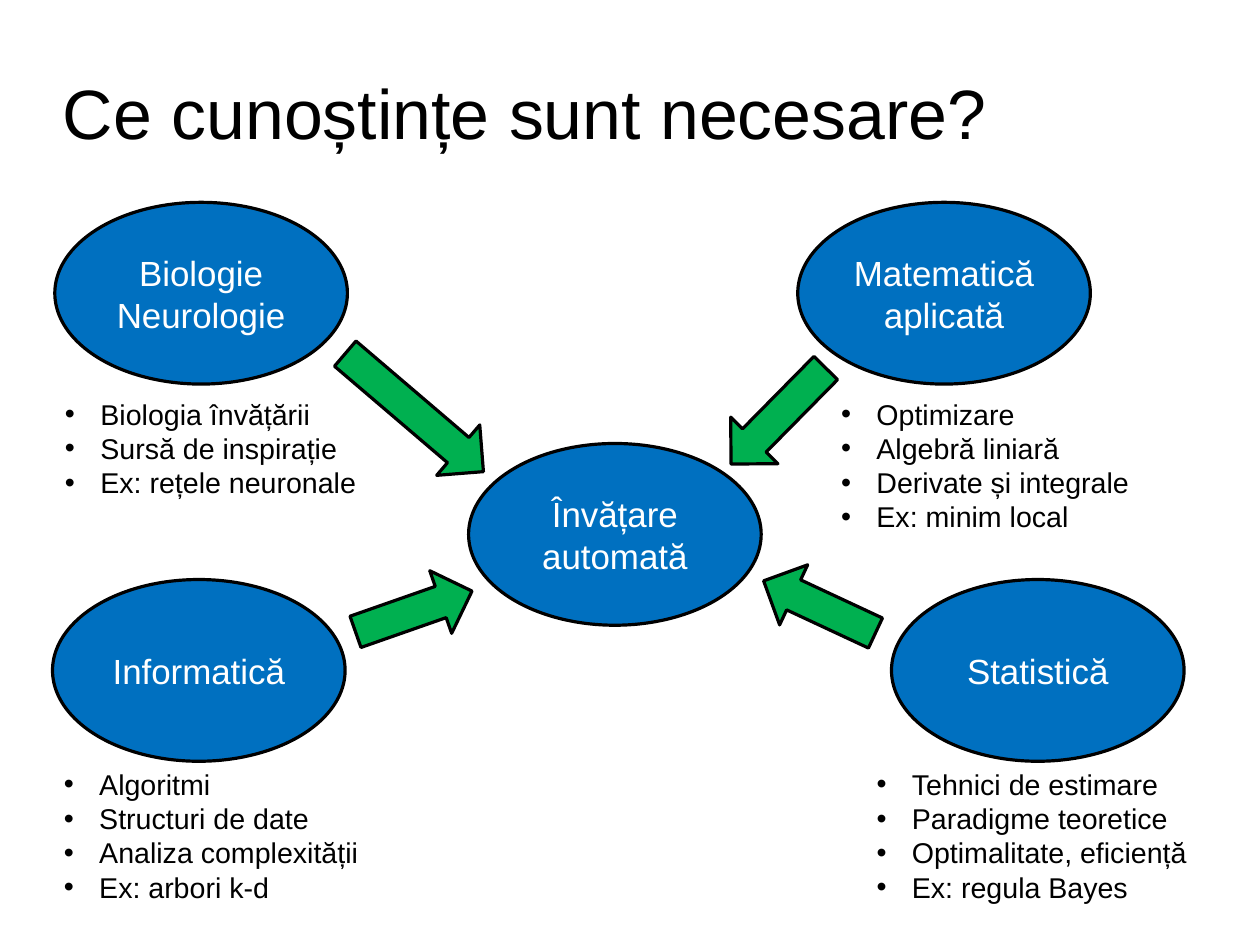
"""Build the slide on the fields of knowledge behind machine learning."""
import dataclasses

import lxml.etree
import pptx
import pptx.dml.color
import pptx.enum.shapes
import pptx.enum.text
import pptx.oxml.ns
import pptx.util

Inches = pptx.util.Inches
MSO_SHAPE = pptx.enum.shapes.MSO_SHAPE
ANCHOR = pptx.enum.text.MSO_ANCHOR
ALIGN = pptx.enum.text.PP_ALIGN


@dataclasses.dataclass(frozen=True)
class Theme:
    font: str = "Arial"
    ink: str = "000000"
    light: str = "FFFFFF"
    oval: str = "0070C0"
    arrow: str = "00B050"
    title_size: int = 44
    oval_size: int = 22
    list_size: int = 18
    outline: int = 2


theme = Theme()


def write(sp, text, size, color=theme.ink, align=ALIGN.LEFT, anchor=ANCHOR.TOP,
          bullet=False, spacing=None, inset=None):
    tf = sp.text_frame
    tf.word_wrap = True
    tf.vertical_anchor = anchor
    if inset is not None:
        tf.margin_left = tf.margin_right = tf.margin_top = tf.margin_bottom = Inches(inset)
    for i, line in enumerate(text.split("\n")):
        p = tf.paragraphs[0] if i == 0 else tf.add_paragraph()
        p.alignment = align
        if bullet:
            pPr = p._p.get_or_add_pPr()
            pPr.set("marL", str(Inches(0.31)))
            pPr.set("indent", str(-Inches(0.31)))
            for tag, key, value in (("a:buFont", "typeface", theme.font), ("a:buChar", "char", "•")):
                lxml.etree.SubElement(pPr, pptx.oxml.ns.qn(tag)).set(key, value)
        if spacing:
            p.line_spacing = spacing
        r = p.add_run()
        r.text = line
        r.font.name = theme.font
        r.font.size = pptx.util.Pt(size)
        r.font.color.rgb = pptx.dml.color.RGBColor.from_string(color)


def outlined(kind, left, top, width, height, fill):
    sp = s.shapes.add_shape(kind, Inches(left), Inches(top), Inches(width), Inches(height))
    sp.shadow.inherit = False
    sp.fill.solid()
    sp.fill.fore_color.rgb = pptx.dml.color.RGBColor.from_string(fill)
    sp.line.color.rgb = pptx.dml.color.RGBColor.from_string(theme.ink)
    sp.line.width = pptx.util.Pt(theme.outline)
    return sp


prs = pptx.Presentation()
prs.slide_width = Inches(28 / 2.54)
prs.slide_height = Inches(21 / 2.54)
s = prs.slides.add_slide(prs.slide_layouts[6])

title = s.shapes.add_textbox(Inches(0.55), Inches(0.33), Inches(9.92), Inches(1.38))
write(title, "Ce cunoștințe sunt necesare?", theme.title_size,
      anchor=ANCHOR.MIDDLE, spacing=0.9, inset=0)

fields = [
    ("Matematică aplicată", 6.98, 1.77),
    ("Biologie\nNeurologie", 0.48, 1.77),
    ("Informatică", 0.46, 5.07),
    ("Statistică", 7.8, 5.07),
    ("Învățare automată", 4.1, 3.88),
]
for name, left, top in fields:
    sp = outlined(MSO_SHAPE.OVAL, left, top, 2.56, 1.59, theme.oval)
    write(sp, name, theme.oval_size, color=theme.light, align=ALIGN.CENTER, anchor=ANCHOR.MIDDLE)

topics = [
    (0.47, 3.42, ["Biologia învățării", "Sursă de inspirație", "Ex: rețele neuronale"]),
    (0.46, 6.66, ["Algoritmi", "Structuri de date", "Analiza complexității", "Ex: arbori k-d"]),
    (7.57, 6.66, ["Tehnici de estimare", "Paradigme teoretice", "Optimalitate, eficiență",
                  "Ex: regula Bayes"]),
    (7.26, 3.42, ["Optimizare", "Algebră liniară", "Derivate și integrale", "Ex: minim local"]),
]
for left, top, lines in topics:
    height = 0.1 + 0.3 * len(lines)
    box = s.shapes.add_textbox(Inches(left), Inches(top), Inches(3.11), Inches(height))
    write(box, "\n".join(lines), theme.list_size, bullet=True)

arrows = [
    (2.83, 3.32, 1.59, 40.5),
    (6.22, 3.35, 1.18, 134.6),
    (3.08, 5.06, 1.08, 340.7),
    (6.63, 5.02, 1.08, 205),
]
for left, top, length, angle in arrows:
    sp = outlined(MSO_SHAPE.RIGHT_ARROW, left, top, length, 0.58, theme.arrow)
    sp.rotation = angle

prs.save("out.pptx")
